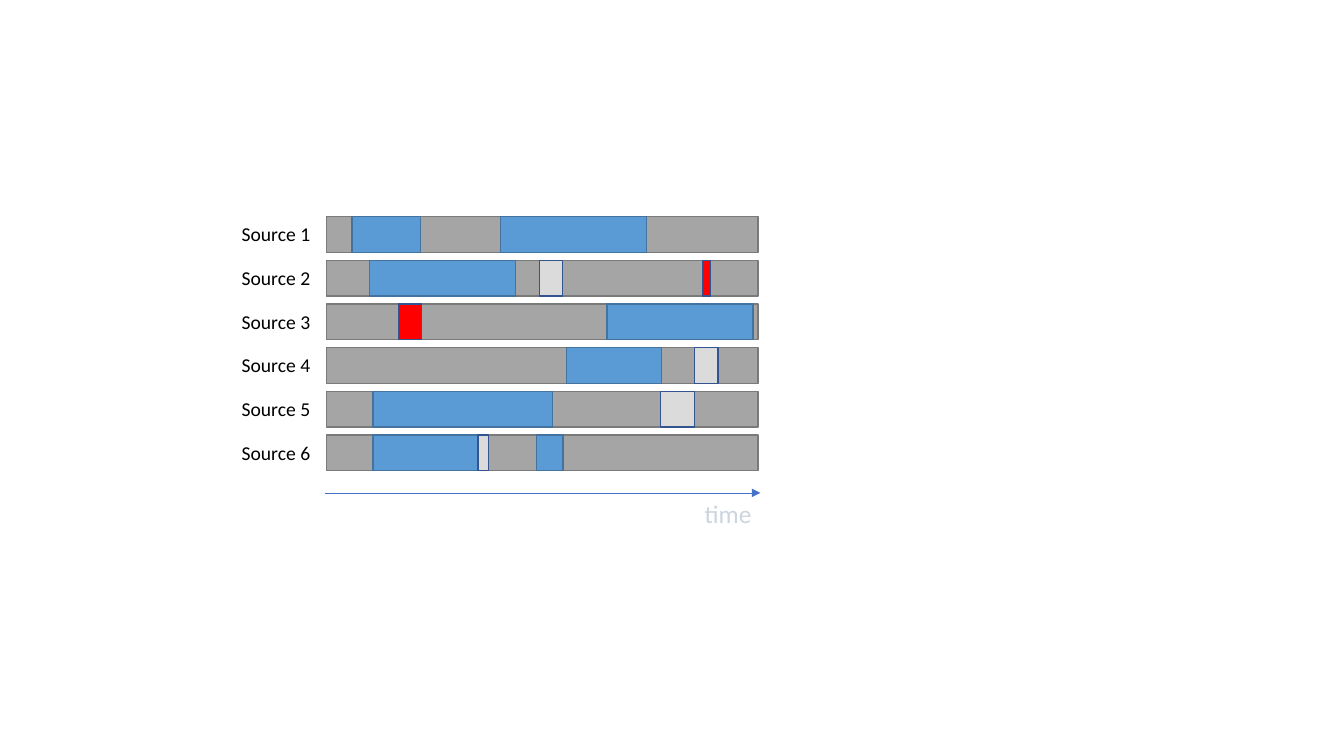
"""Build a slide with a timeline of six sources."""
import pptx
import pptx.dml.color
import pptx.enum.shapes
import pptx.enum.text
import pptx.oxml.ns
import pptx.util
from lxml import etree

Cm = pptx.util.Cm
Pt = pptx.util.Pt

COLOURS = {
    "lane": "A5A5A5", "lane edge": "7A7A7A",
    "busy": "5B9BD5", "busy edge": "43739E",
    "idle": "DBDBDB", "idle edge": "325491",
    "alert": "FF0000", "alert edge": "325491",
    "label": "000000", "axis": "4472C4", "axis label": "CCD4DE",
}

SOURCES = {
    "Source 1": [("busy", 0.64, 1.73), ("busy", 4.39, 3.68)],
    "Source 2": [("busy", 1.09, 3.68), ("idle", 5.36, 0.59), ("alert", 9.47, 0.21)],
    "Source 3": [("alert", 1.81, 0.59), ("busy", 7.07, 3.68)],
    "Source 4": [("busy", 6.05, 2.39), ("idle", 9.28, 0.59)],
    "Source 5": [("busy", 1.17, 4.52), ("idle", 8.42, 0.86)],
    "Source 6": [("busy", 1.17, 2.67), ("idle", 3.82, 0.27), ("busy", 5.29, 0.67)],
}

LANE_HEIGHT = 0.9
LANE_PITCH = 1.1


def colour(name):
    """Return the named colour."""
    return pptx.dml.color.RGBColor.from_string(COLOURS[name])


def add_text(shapes, text, left, top, width, height, *, size, ink, wrap=True):
    """Add a text box with one formatted line."""
    box = shapes.add_textbox(Cm(left), Cm(top), Cm(width), Cm(height))
    frame = box.text_frame
    frame.word_wrap = wrap
    frame.auto_size = pptx.enum.text.MSO_AUTO_SIZE.SHAPE_TO_FIT_TEXT
    span = frame.paragraphs[0].add_run()
    span.text = text
    span.font.name = "Calibri"
    span.font.size = Pt(size)
    span.font.color.rgb = colour(ink)


def add_bar(shapes, kind, left, top, width):
    """Add one outlined bar of lane height."""
    bar = shapes.add_shape(pptx.enum.shapes.MSO_SHAPE.RECTANGLE,
                           Cm(left), Cm(top), Cm(width), Cm(LANE_HEIGHT))
    bar.shadow.inherit = False
    bar.fill.solid()
    bar.fill.fore_color.rgb = colour(kind)
    bar.line.color.rgb = colour(f"{kind} edge")
    bar.line.width = Pt(1)


def add_lane(page, name, segments, left, top, width):
    """Group a source label with its lane and segments."""
    shapes = page.shapes.add_group_shape().shapes
    add_bar(shapes, "lane", left, top, width)
    add_text(shapes, name, left - 2.39, top + 0.02, 2.41, 0.86, size=14, ink="label")
    for kind, offset, length in segments:
        add_bar(shapes, kind, left + offset, top, length)


def add_axis(page, left, top, width):
    """Add the time arrow and its label."""
    arrow = page.shapes.add_connector(pptx.enum.shapes.MSO_CONNECTOR.STRAIGHT,
                                      Cm(left), Cm(top), Cm(left + width), Cm(top))
    arrow.line.color.rgb = colour("axis")
    arrow.line.width = Pt(0.5)
    qn = pptx.oxml.ns.qn
    etree.SubElement(arrow.line._get_or_add_ln(), qn("a:tailEnd"), type="triangle")
    etree.SubElement(arrow._element.spPr, qn("a:effectLst"))
    add_text(page.shapes, "time", left + width - 1.65, top, 1.73, 1.02,
             size=18, ink="axis label", wrap=False)


def add_timeline(page, left, top, width):
    """Stack the source lanes above the time axis."""
    for row, (name, segments) in enumerate(SOURCES.items()):
        add_lane(page, name, segments, left, top + row * LANE_PITCH, width)
    add_axis(page, left - 0.04, top + len(SOURCES) * LANE_PITCH + 0.36, width + 0.1)


def main():
    """Create and save the deck."""
    deck = pptx.Presentation()
    deck.slide_width = Cm(33.87)
    deck.slide_height = Cm(19.05)
    page = deck.slides.add_slide(deck.slide_layouts[6])
    add_timeline(page, left=8.23, top=5.46, width=10.87)
    deck.save("out.pptx")


if __name__ == "__main__":
    main()
